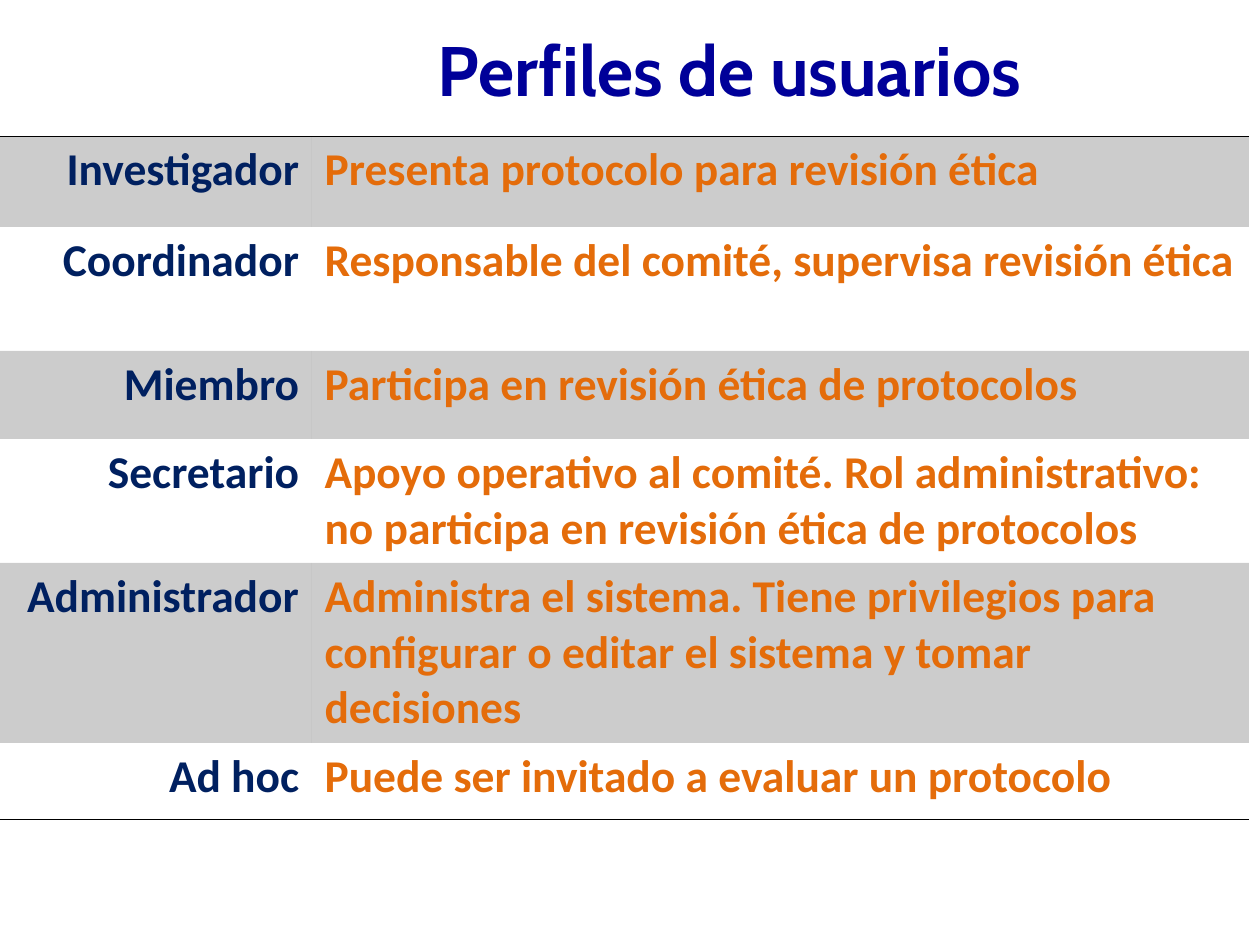
import pptx
import pptx.dml.color
import pptx.enum.text
import pptx.oxml
import pptx.oxml.ns
import pptx.util

RGB = pptx.dml.color.RGBColor
ALIGN = pptx.enum.text.PP_ALIGN
BLACK = RGB(0x00, 0x00, 0x00)
TITLE_BLUE = RGB(0x00, 0x00, 0x99)
NAVY = RGB(0x00, 0x20, 0x60)
ORANGE = RGB(0xE4, 0x6C, 0x0A)

PLAIN_TABLE = "{2D5ABB26-0587-4C30-8999-92F81FD0307C}"
PROFILES = [
    ("Investigador", "Presenta protocolo para revisión ética"),
    ("Coordinador", "Responsable del comité, supervisa revisión ética"),
    ("Miembro", "Participa en revisión ética de protocolos"),
    ("Secretario", "Apoyo operativo al comité. Rol administrativo: "
                   "no participa en revisión ética de protocolos"),
    ("Administrador", "Administra el sistema. Tiene privilegios para "
                      "configurar o editar el sistema y tomar decisiones"),
    ("Ad hoc", "Puede ser invitado a evaluar un protocolo"),
]
COLUMN_WIDTHS = [312, 937]
ROW_HEIGHTS = [91, 124, 88, 124, 180, 76]


def px(length):
    return pptx.util.Emu(round(length * 914400 / 126))


class Page:
    title_font, title_size = "Cabin", 40
    body_font, body_size = "Calibri", 26
    rule_width = 0.45

    def __init__(self, deck):
        self.slide = deck.slides.add_slide(deck.slide_layouts[6])

    def add_text(self, frame, text, font, size, color, align):
        para = frame.paragraphs[0]
        para.alignment = align
        span = para.add_run()
        span.text = text
        span.font.name = font
        span.font.size = pptx.util.Pt(size)
        span.font.bold = True
        span.font.color.rgb = color

    def title(self, text, left, top, width, height, indent):
        box = self.slide.shapes.add_textbox(px(left), px(top), px(width), px(height))
        frame = box.text_frame
        frame.word_wrap = True
        frame.margin_left = px(indent)
        frame.vertical_anchor = pptx.enum.text.MSO_ANCHOR.MIDDLE
        self.add_text(frame, text, self.title_font, self.title_size,
                      TITLE_BLUE, ALIGN.CENTER)

    def shade(self, cell):
        cell.fill.solid()
        cell.fill.fore_color.rgb = BLACK
        color = cell._tc.tcPr.find(".//" + pptx.oxml.ns.qn("a:srgbClr"))
        color.append(pptx.oxml.parse_xml(
            f'<a:alpha {pptx.oxml.ns.nsdecls("a")} val="20000"/>'))

    def rule(self, cell, side):
        width = pptx.util.Pt(self.rule_width)
        line = pptx.oxml.parse_xml(
            f'<a:{side} {pptx.oxml.ns.nsdecls("a")} w="{width}">'
            f'<a:solidFill><a:srgbClr val="{BLACK}"/></a:solidFill></a:{side}>')
        cell._tc.get_or_add_tcPr().insert(0, line)

    def table(self, rows, left, top, widths, heights):
        table = self.slide.shapes.add_table(
            len(rows), len(widths), px(left), px(top),
            px(sum(widths)), px(sum(heights))).table
        table.first_row = table.horz_banding = False
        properties = table._tbl.tblPr
        properties.find(pptx.oxml.ns.qn("a:tableStyleId")).text = PLAIN_TABLE
        for column, width in zip(table.columns, widths):
            column.width = px(width)
        column_styles = [(NAVY, ALIGN.RIGHT), (ORANGE, ALIGN.LEFT)]
        for index, texts in enumerate(rows):
            table.rows[index].height = px(heights[index])
            for cell, text, style in zip(table.rows[index].cells, texts, column_styles):
                self.add_text(cell.text_frame, text, self.body_font,
                              self.body_size, *style)
                # Every other row is shaded
                if index % 2 == 0:
                    self.shade(cell)
                else:
                    cell.fill.background()
                # Thin rules close the table above and below
                if index == 0:
                    self.rule(cell, "lnT")
                if index == len(rows) - 1:
                    self.rule(cell, "lnB")


def main():
    deck = pptx.Presentation()
    deck.slide_width, deck.slide_height = px(1260), px(945)
    page = Page(deck)
    # Title, centred to the right of the role column
    page.title("Perfiles de usuarios", 0, 21, 1197, 95, indent=275)
    # User roles and what each one does
    page.table(PROFILES, 0, 136, COLUMN_WIDTHS, ROW_HEIGHTS)
    deck.save("out.pptx")


if __name__ == "__main__":
    main()
